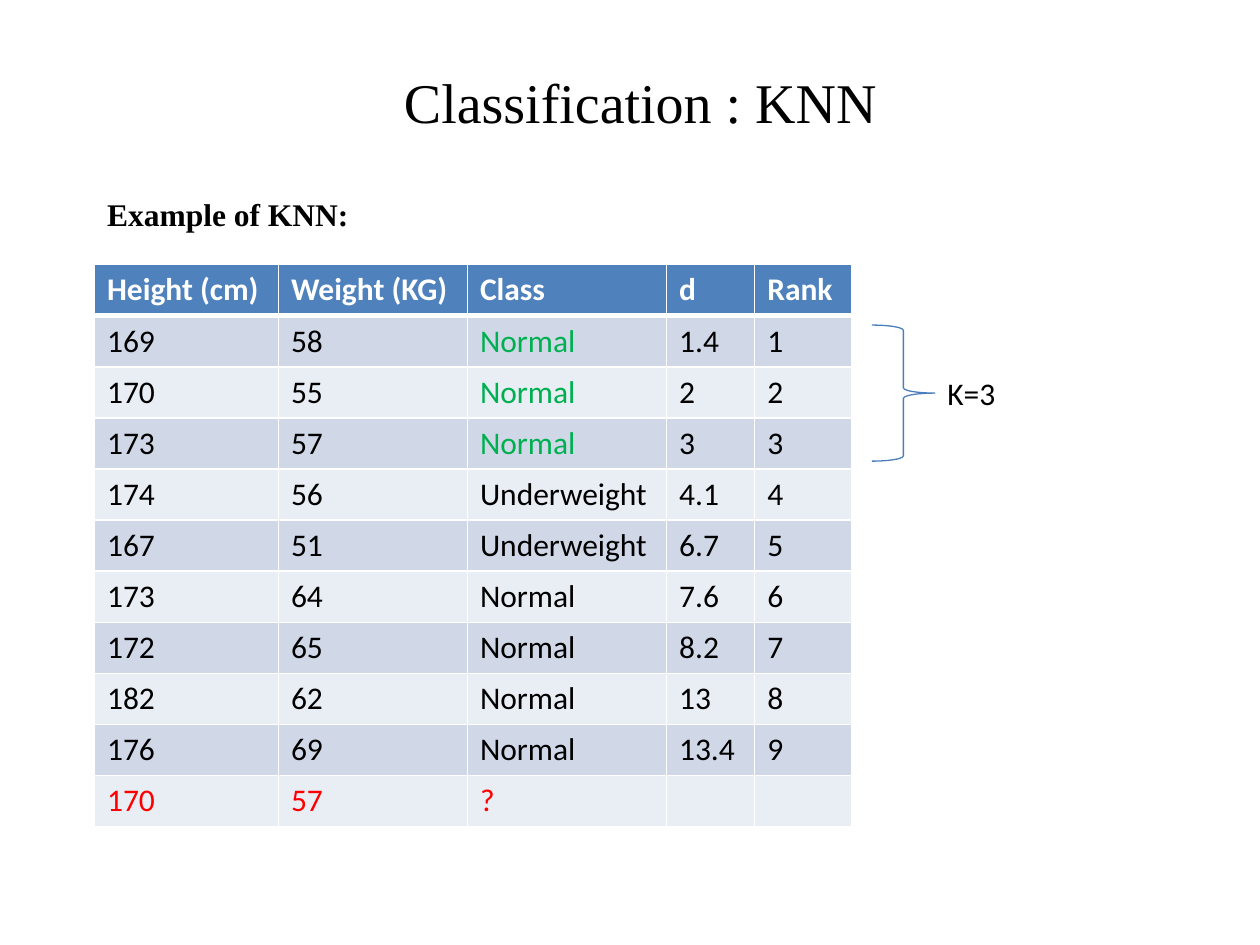
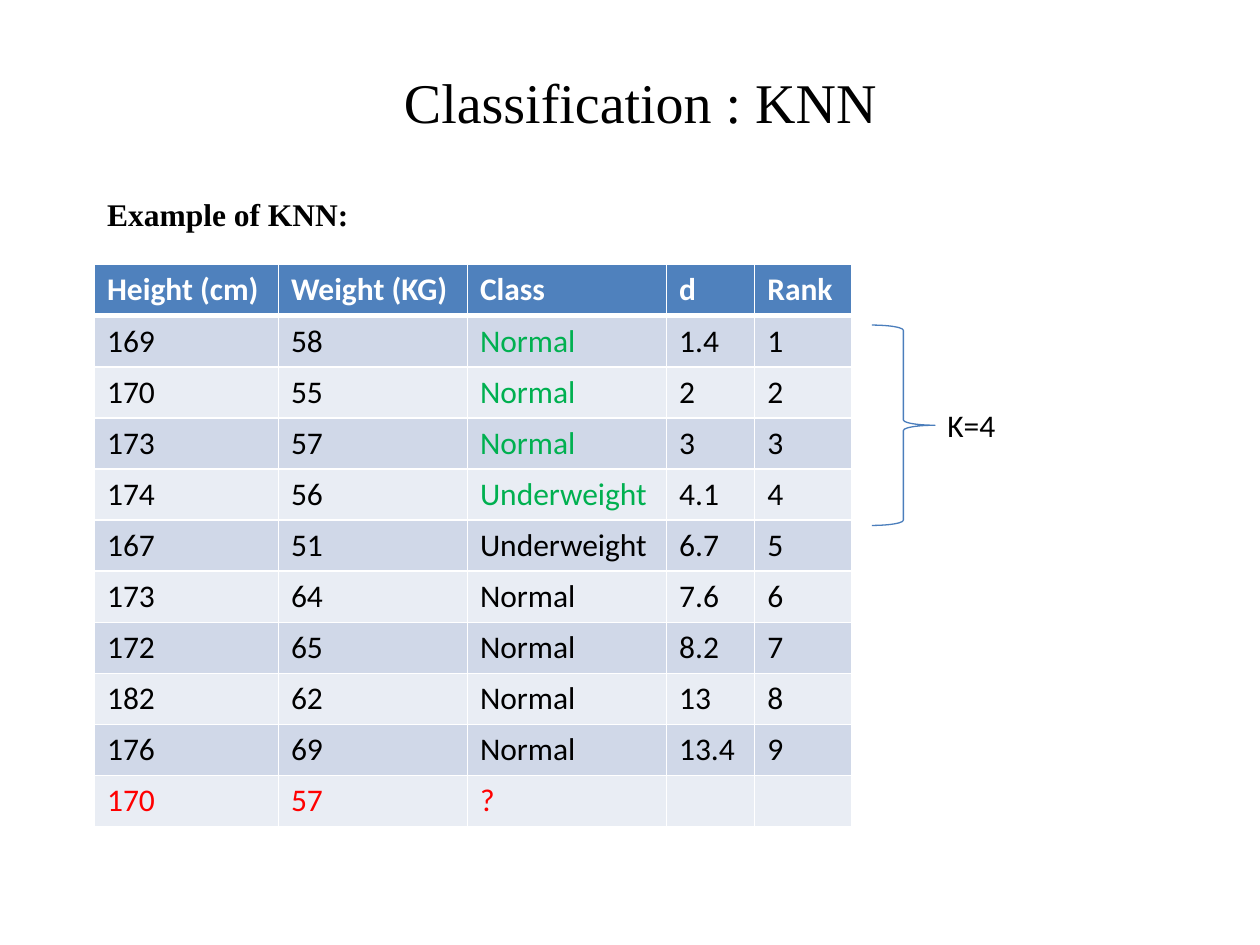
from dataclasses import dataclass

from lxml.etree import SubElement
from pptx import Presentation
from pptx.dml.color import RGBColor as RGB
from pptx.enum.shapes import MSO_SHAPE as Shape
from pptx.enum.text import MSO_ANCHOR as Anchor, PP_ALIGN as Align
from pptx.oxml.ns import qn
from pptx.util import Inches, Pt


@dataclass(frozen=True)
class Theme:
    serif: str = "Times New Roman"
    sans: str = "Calibri"
    title: int = 32
    text: int = 18
    black: str = "000000"
    white: str = "FFFFFF"
    head: str = "4F81BD"
    bands: tuple = ("D0D8E8", "E9EDF4")
    near: str = "00B050"
    query: str = "FF0000"
    brace: str = "4B7EBC"


THEME = Theme()
TITLE_BOX = (1.75, 0.42, 6.67, 0.77)
LEAD_BOX = (0.75, 1.5, 8.17, 4.75)
TABLE_BOX = (0.75, 2.1, 6.02, 4.46)
WIDTHS = (1.46, 1.5, 1.58, 0.7, 0.77)
CLASS_COL = 2
HEAD = ("Height (cm)", "Weight (KG)", "Class", "d", "Rank")
PEOPLE = (
    (169, 58, "Normal", 1.4),
    (170, 55, "Normal", 2),
    (173, 57, "Normal", 3),
    (174, 56, "Underweight", 4.1),
    (167, 51, "Underweight", 6.7),
    (173, 64, "Normal", 7.6),
    (172, 65, "Normal", 8.2),
    (182, 62, "Normal", 13),
    (176, 69, "Normal", 13.4),
)
QUERY = (170, 57, "?", "", "")


def style(frame, font, size, color, bold=False):
    for para in frame.paragraphs:
        for run in para.runs:
            run.font.name = font
            run.font.size = Pt(size)
            run.font.bold = bold
            run.font.color.rgb = RGB.from_string(color)


def fill_holder(holder, box, text, align, size, bold=False):
    """Move a placeholder to its box and write one formatted line."""
    holder.left, holder.top, holder.width, holder.height = map(Inches, box)
    frame = holder.text_frame
    frame.text = text
    frame.paragraphs[0].alignment = align
    style(frame, THEME.serif, size, THEME.black, bold)


def add_edges(cell, base):
    """Rule the cell in white, with the given width in points below it."""
    props = cell._tc.get_or_add_tcPr()
    for side, width in zip("LRTB", (1, 1, 1, base)):
        line = SubElement(props, qn(f"a:ln{side}"), w=str(Pt(width)))
        solid = SubElement(line, qn("a:solidFill"))
        SubElement(solid, qn("a:srgbClr"), val=THEME.white)


def cell_color(row, col, last, k):
    if row == 0:
        return THEME.white
    if row == last:
        return THEME.query
    return THEME.near if col == CLASS_COL and row <= k else THEME.black


def add_ranks(slide, box, k):
    """Tabulate people by distance, marking the classes of the k nearest."""
    ranked = [(*person, rank) for rank, person in enumerate(PEOPLE, 1)]
    rows = [HEAD, *ranked, QUERY]
    table = slide.shapes.add_table(len(rows), len(HEAD), *map(Inches, box)).table
    for column, width in zip(table.columns, WIDTHS):
        column.width = Inches(width)
    for r, values in enumerate(rows):
        table.rows[r].height = Inches(box[3] / len(rows))
        for c, value in enumerate(values):
            cell = table.cell(r, c)
            add_edges(cell, 1 if r else 3)
            cell.fill.solid()
            back = THEME.bands[(r - 1) % 2] if r else THEME.head
            cell.fill.fore_color.rgb = RGB.from_string(back)
            cell.text_frame.text = str(value)
            color = cell_color(r, c, len(rows) - 1, k)
            style(cell.text_frame, THEME.sans, THEME.text, color, r == 0)


def add_brace(slide, box, k):
    """Draw a brace in the box and centre its label on the tip."""
    left, top, width, height = box
    brace = slide.shapes.add_shape(Shape.RIGHT_BRACE, *map(Inches, box))
    brace.shadow.inherit = False
    brace.fill.background()
    brace.line.color.rgb = RGB.from_string(THEME.brace)
    brace.line.width = Pt(0.75)
    tall = 0.4
    spot = (left + width, top + (height - tall) / 2, 0.92, tall)
    frame = slide.shapes.add_textbox(*map(Inches, spot)).text_frame
    frame.word_wrap = True
    frame.text = f"K={k}"
    style(frame, THEME.sans, THEME.text, THEME.black)


def add_slide(deck, k):
    slide = deck.slides.add_slide(deck.slide_layouts[0])
    title, lead = slide.placeholders
    fill_holder(title, TITLE_BOX, "Classification : KNN", Align.CENTER, THEME.title)
    title.text_frame.vertical_anchor = Anchor.MIDDLE
    fill_holder(lead, LEAD_BOX, "Example of KNN:", Align.JUSTIFY, THEME.text, True)
    add_ranks(slide, TABLE_BOX, k)
    left, top, width, _ = TABLE_BOX
    tall = 1.08 + 0.51 * (k - 3)
    add_brace(slide, (left + width + 0.15, top + 0.48, 0.5, tall), k)


def main():
    deck = Presentation()
    deck.slide_width, deck.slide_height = Inches(10), Inches(7.5)
    for k in (3, 4):
        add_slide(deck, k)
    deck.save("out.pptx")


if __name__ == "__main__":
    main()
